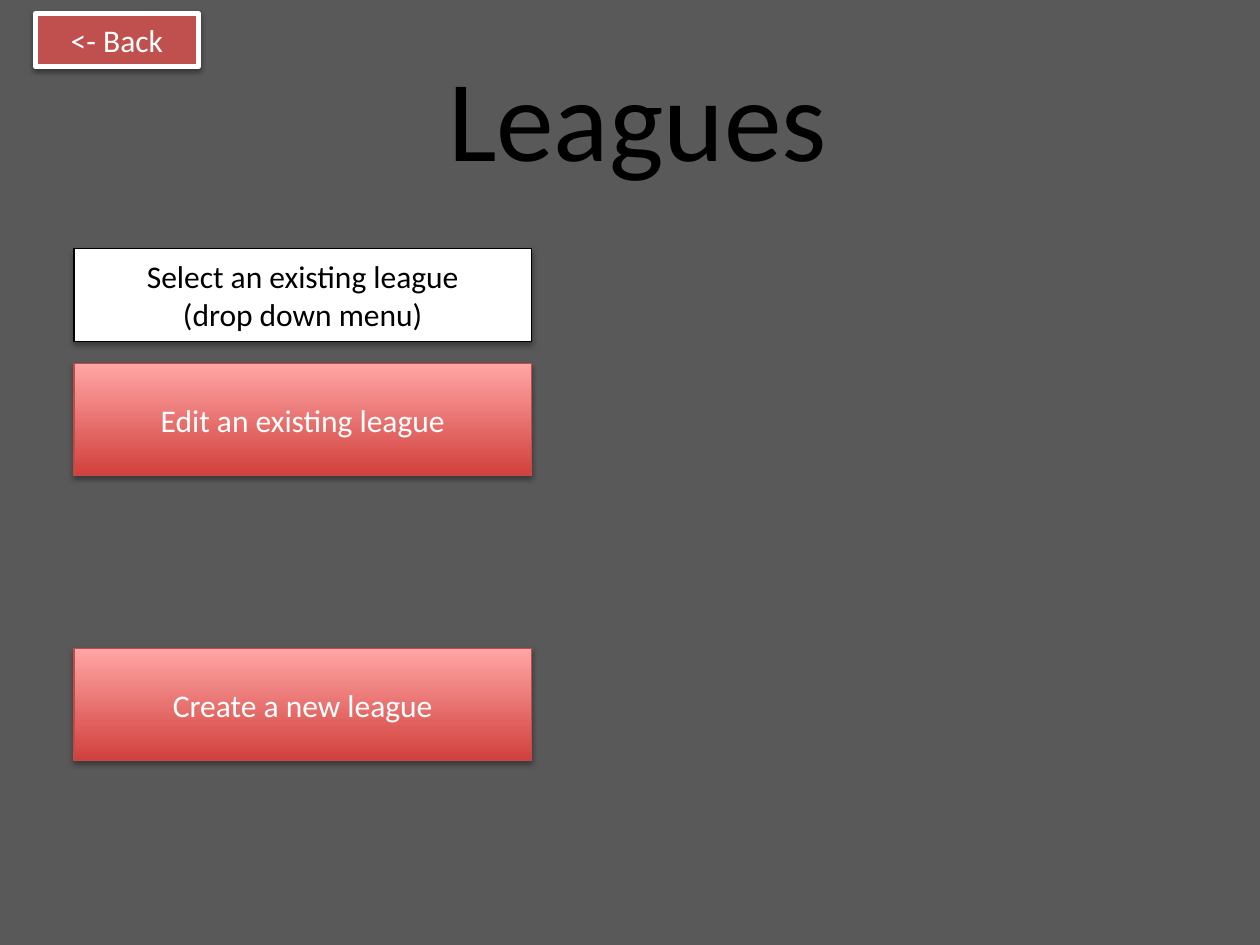
from dataclasses import dataclass

from lxml.etree import SubElement
from pptx import Presentation
from pptx.dml.color import RGBColor
from pptx.enum.shapes import MSO_SHAPE
from pptx.enum.text import MSO_ANCHOR, PP_ALIGN
from pptx.oxml.ns import qn
from pptx.util import Pt


@dataclass
class Button:
    lines: list[str]
    left: float
    top: float
    width: float
    height: float
    fills: list[str]
    line: str
    line_width: float = 0.75
    color: str = "FFFFFF"
    shadow_alpha: int = 35
    shadow_distance: float = 1.8


def rgb(value: str) -> RGBColor:
    return RGBColor.from_string(value)


def add_run(p, text: str, size: float, color: str) -> None:
    r = p.add_run()
    r.text = text
    r.font.name = "Calibri"
    r.font.size = Pt(size)
    r.font.color.rgb = rgb(color)


def add_shadow(sp, alpha: int, distance: float) -> None:
    sp.shadow.inherit = False
    effects = sp._element.spPr.find(qn("a:effectLst"))
    shadow = SubElement(effects, qn("a:outerShdw"), blurRad=str(Pt(3.1)),
                        dist=str(Pt(distance)), dir="5400000", rotWithShape="0")
    color = SubElement(shadow, qn("a:srgbClr"), val="000000")
    SubElement(color, qn("a:alpha"), val=str(alpha * 1000))


def set_fill(sp, fills: list[str]) -> None:
    if len(fills) == 1:
        sp.fill.solid()
        sp.fill.fore_color.rgb = rgb(fills[0])
        return
    sp.fill.gradient()
    sp.fill.gradient_angle = 90
    for position, (stop, color) in enumerate(zip(sp.fill.gradient_stops, fills)):
        stop.position = position
        stop.color.rgb = rgb(color)


def add_button(s, button: Button) -> None:
    sp = s.shapes.add_shape(MSO_SHAPE.RECTANGLE, Pt(button.left), Pt(button.top),
                            Pt(button.width), Pt(button.height))
    set_fill(sp, button.fills)
    sp.line.color.rgb = rgb(button.line)
    sp.line.width = Pt(button.line_width)
    add_shadow(sp, button.shadow_alpha, button.shadow_distance)
    tf = sp.text_frame
    tf.word_wrap = True
    tf.vertical_anchor = MSO_ANCHOR.MIDDLE
    for i, text in enumerate(button.lines):
        p = tf.paragraphs[0] if i == 0 else tf.add_paragraph()
        p.alignment = PP_ALIGN.CENTER
        add_run(p, text, 18, button.color)


def add_title(s, text: str) -> None:
    sp = s.shapes.add_textbox(Pt(249), Pt(23), Pt(273.6), Pt(87.1))
    tf = sp.text_frame
    tf.word_wrap = True
    add_run(tf.paragraphs[0], text, 66, "000000")


LEFT, WIDTH = 42.2, 261.6
RED = ["D1403C", "FFA6A5"]
BUTTONS = [
    Button(["Edit an existing league"], LEFT, 207.9, WIDTH, 64, RED, "BF4C48"),
    Button(["Create a new league"], LEFT, 370.7, WIDTH, 64, RED, "BF4C48"),
    Button(["Select an existing league", "(drop down menu)"],
           LEFT, 141.9, WIDTH, 53.2, ["FFFFFF"], "000000", color="000000"),
    Button(["<- Back"], 20.3, 7.8, 93, 30.4, ["C0504D"], "FFFFFF",
           line_width=3, shadow_alpha=38, shadow_distance=1.6),
]

prs = Presentation()
prs.slide_width, prs.slide_height = Pt(720), Pt(540)
s = prs.slides.add_slide(prs.slide_layouts[6])
s.background.fill.solid()
s.background.fill.fore_color.rgb = rgb("595959")
add_title(s, "Leagues")
for button in BUTTONS:
    add_button(s, button)
prs.save("out.pptx")
